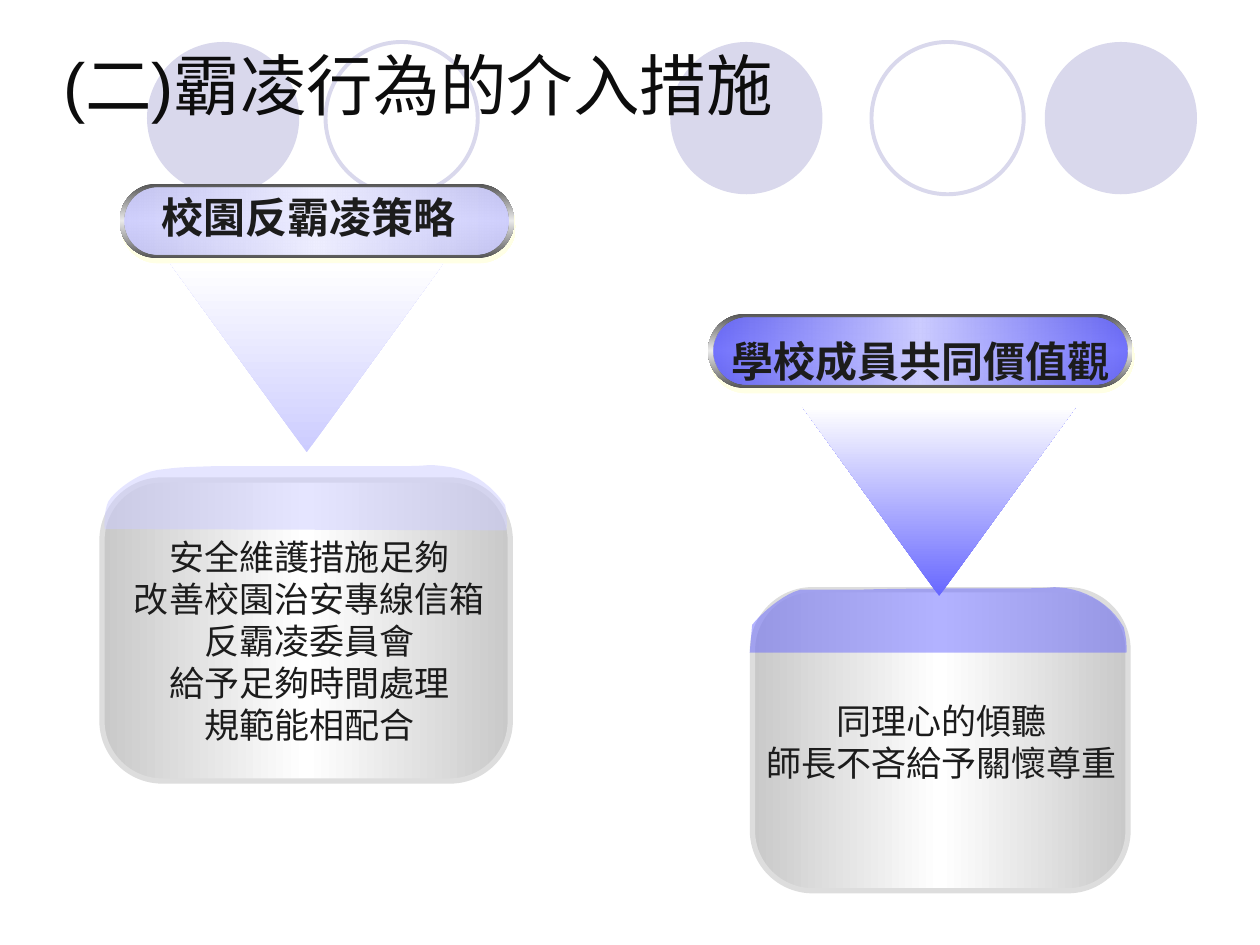
from lxml.etree import SubElement
from pptx import Presentation
from pptx.dml.color import RGBColor
from pptx.enum.shapes import MSO_SHAPE
from pptx.enum.text import MSO_ANCHOR, MSO_AUTO_SIZE, PP_ALIGN
from pptx.oxml.ns import qn
from pptx.util import Pt

# Content: lengths in points, areas as left, top, width, height
TITLE = "(二)霸凌行為的介入措施"
FONT = "Arial"
INK = "1C1C1C"
CIRCLE_COLOR, CIRCLE_TOP, CIRCLE_SIZE = "D9D8EC", 24, 87
CIRCLES = [(84, True), (186, False), (383, True), (498, False), (597, True)]
RIM = [(0, "545454", 100), (50, "EAEAEA", 100), (100, "545454", 100)]
METAL = [(0, "C9C9C9", 100), (50, "FFFFFF", 100), (100, "C9C9C9", 100)]

# Cap outlines: one point is a straight line, three points a Bezier curve
PANELS = [
    {
        "label": "校園反霸凌策略",
        "lines": ["安全維護措施足夠", "改善校園治安專線信箱", "反霸凌委員會",
                  "給予足夠時間處理", "規範能相配合"],
        "color": "CCCCFF", "glow": "EEEEFF",
        "pill": (68.4, 105, 225.4, 42.5), "label_area": (82.8, 105.8, 186.5, 36),
        "arrow": (97.2, 150.5, 156.2, 108),
        "box": (58.3, 274.3, 233.3, 172), "text_area": (60.5, 302.4, 232.6, 151),
        "cap": [
            [(59.8, 302.4)],
            [(59.8, 302.4), (59, 293), (61.9, 286.6)],
            [(65.5, 280.8), (77.8, 270.7), (90, 268.6)],
            [(102.2, 267.1), (100.8, 267.1), (123.1, 266.4)],
            [(228.2, 266.4)],
            [(249.8, 266.4), (240.5, 265), (253.4, 266.4)],
            [(267.1, 267.8), (280.1, 275.8), (288.7, 288.7)],
            [(290.2, 298.1), (289.4, 303.1), (289.4, 303.1)],
        ],
    },
    {
        "label": "學校成員共同價值觀",
        "lines": ["同理心的傾聽", "師長不吝給予關懷尊重"],
        "color": "6767FF", "glow": "CCCCFF",
        "pill": (404.6, 179.3, 242.6, 42.5), "label_area": (411, 188, 230.4, 36),
        "arrow": (458.6, 232.6, 156.2, 108),
        "box": (430, 337, 214.6, 172), "text_area": (430.6, 396, 214.6, 55.4),
        "cap": [
            [(428.4, 373)],
            [(429.8, 357.1)],
            [(434.9, 350.6), (447.1, 339.8), (457.2, 337)],
            [(489.6, 337)],
            [(511.2, 336.2), (566.6, 336.2), (586.1, 336.2)],
            [(606.2, 336.2), (597.6, 334.8), (609.8, 336.2)],
            [(622.1, 338.4), (635, 345.6), (642.2, 358.6)],
            [(644.4, 367.9), (643.7, 373), (643.7, 373)],
        ],
    },
]


def rgb(color):
    return RGBColor.from_string(color)


def place(area):
    return [Pt(value) for value in area]


def add_color(parent, color, opacity):
    node = SubElement(parent, qn("a:srgbClr"), val=color)
    if opacity < 100:
        SubElement(node, qn("a:alpha"), val=str(opacity * 1000))


def fill_gradient(shape, stops, angle):
    shape.fill.gradient()
    gradient = shape.element.spPr.find(qn("a:gradFill"))
    gradient.clear()
    gradient.set("rotWithShape", "1")
    stop_list = SubElement(gradient, qn("a:gsLst"))
    for position, color, opacity in stops:
        stop = SubElement(stop_list, qn("a:gs"), pos=str(position * 1000))
        add_color(stop, color, opacity)
    SubElement(gradient, qn("a:lin"), ang=str(angle * 60000), scaled="0")


def set_line(shape, color=None, width=0):
    if color is None:
        shape.line.fill.background()
    else:
        shape.line.color.rgb = rgb(color)
        shape.line.width = Pt(width)


def add_shape(page, kind, area, line=None, width=0):
    shape = page.shapes.add_shape(kind, *place(area))
    shape.shadow.inherit = False
    set_line(shape, line, width)
    return shape


def add_rounded(page, area, radius, stops, angle, line=None, width=0):
    shape = add_shape(page, MSO_SHAPE.ROUNDED_RECTANGLE, area, line, width)
    shape.adjustments[0] = radius
    fill_gradient(shape, stops, angle)
    return shape


def add_glow_shadow(shape):
    effects = shape.element.spPr.find(qn("a:effectLst"))
    shadow = SubElement(effects, qn("a:outerShdw"), dist=str(Pt(3.2)),
                        dir=str(72 * 60000), algn="ctr", rotWithShape="0")
    add_color(shadow, "FFFFCC", 50)


def write(frame, lines, size, color, bold=False, align=PP_ALIGN.CENTER):
    for index, line in enumerate(lines):
        para = frame.paragraphs[0] if index == 0 else frame.add_paragraph()
        para.alignment = align
        span = para.add_run()
        span.text = line
        span.font.name = FONT
        span.font.size = Pt(size)
        span.font.bold = bold
        span.font.color.rgb = rgb(color)


def add_text(page, area, lines, size, bold=False):
    box = page.shapes.add_textbox(*place(area))
    box.text_frame.word_wrap = True
    write(box.text_frame, lines, size, INK, bold)


def trace(outline, steps=10):
    """Turn lines and cubic curves into a list of points."""
    points = list(outline[0])
    for segment in outline[1:]:
        if len(segment) == 1:
            points += segment
            continue
        controls = [points[-1], *segment]
        for step in range(1, steps + 1):
            t = step / steps
            weights = ((1 - t) ** 3, 3 * t * (1 - t) ** 2, 3 * t * t * (1 - t), t ** 3)
            points.append(tuple(sum(w * c[axis] for w, c in zip(weights, controls))
                                for axis in (0, 1)))
    return [(Pt(x), Pt(y)) for x, y in points]


def add_cap(page, outline, color):
    start, *rest = trace(outline)
    builder = page.shapes.build_freeform(*start)
    builder.add_line_segments(rest, close=True)
    cap = builder.convert_to_shape()
    cap.shadow.inherit = False
    set_line(cap)
    cap.fill.solid()
    cap.fill.fore_color.rgb = rgb(color)
    tint = cap.element.spPr.find(qn("a:solidFill")).find(qn("a:srgbClr"))
    SubElement(tint, qn("a:alpha"), val="50000")


def add_panel(page, panel):
    color = panel["color"]
    # Box with tinted cap and its lines
    add_rounded(page, panel["box"], 0.2, METAL, 0, "DDDDDD", 3)
    add_cap(page, panel["cap"], color)
    add_text(page, panel["text_area"], panel["lines"], 20)
    # Pill: dark rim, coloured face, label
    left, top, width, height = panel["pill"]
    add_glow_shadow(add_rounded(page, panel["pill"], 0.5, RIM, 90))
    face = (left + 3, top + 2.2, width - 6, height - 4.4)
    add_rounded(page, face, 0.5,
                [(0, color, 90), (50, panel["glow"], 100), (100, color, 90)], 0)
    add_text(page, panel["label_area"], [panel["label"]], 24, bold=True)
    # Triangle pointing down
    arrow = add_shape(page, MSO_SHAPE.ISOSCELES_TRIANGLE, panel["arrow"])
    arrow.element.spPr.find(qn("a:xfrm")).set("flipV", "1")
    fill_gradient(arrow, [(0, color, 100), (100, "FFFFFF", 100)], 90)


def main():
    deck = Presentation()
    deck.slide_width, deck.slide_height = Pt(720), Pt(540)
    page = deck.slides.add_slide(deck.slide_layouts[5])

    # Background circles
    for left, filled in CIRCLES:
        area = (left, CIRCLE_TOP, CIRCLE_SIZE, CIRCLE_SIZE)
        circle = add_shape(page, MSO_SHAPE.OVAL, area)
        if filled:
            circle.fill.solid()
            circle.fill.fore_color.rgb = rgb(CIRCLE_COLOR)
        else:
            circle.fill.background()
            set_line(circle, CIRCLE_COLOR, 2.25)

    # Title, brought in front of the circles
    title = page.shapes.title
    title.element.getparent().append(title.element)
    title.left, title.top, title.width, title.height = place((36, 21.6, 648, 90))
    frame = title.text_frame
    frame.margin_left = frame.margin_right = 0
    frame.vertical_anchor = MSO_ANCHOR.TOP
    frame.auto_size = MSO_AUTO_SIZE.NONE
    write(frame, [TITLE], 38, "0D0D0D", align=PP_ALIGN.LEFT)

    for panel in PANELS:
        add_panel(page, panel)
    deck.save("out.pptx")


if __name__ == "__main__":
    main()
